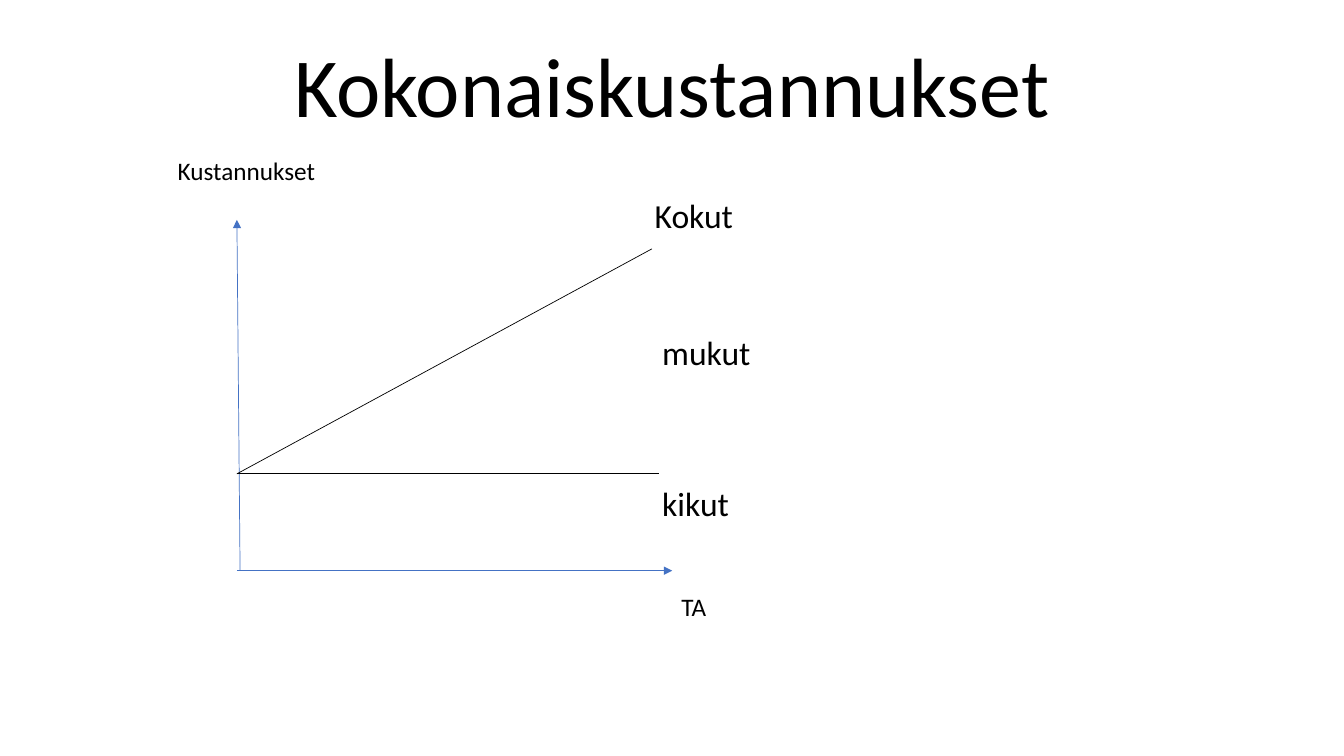
from pptx import Presentation
from pptx.dml.color import RGBColor
from pptx.enum.shapes import MSO_CONNECTOR
from pptx.enum.text import PP_ALIGN
from pptx.oxml.ns import qn
from pptx.util import Cm, Pt
from lxml.etree import SubElement

BLACK, BLUE = "000000", "4472C4"
ASCENT, LINE_HEIGHT = 0.95, 1.22
LEFT, WIDTH = 4.23, 25.4
AXIS_X, AXIS_Y, FIXED_COST_Y = 5.97, 14.38, 11.94

title = ("Kokonaiskustannukset", LEFT, 2.85, WIDTH, 60, PP_ALIGN.CENTER)
labels = [
    ("Kustannukset", 4.48, 4.51, 5, 18, PP_ALIGN.LEFT),
    ("Kokut", 16.5, 5.72, 4, 24, PP_ALIGN.LEFT),
    ("mukut", 16.69, 9.17, 4, 24, PP_ALIGN.LEFT),
    ("kikut", 16.69, 12.98, 4, 24, PP_ALIGN.LEFT),
    ("TA", 17.17, 15.5, 2, 18, PP_ALIGN.LEFT),
]
axes = [
    ((6.05, AXIS_Y), (AXIS_X, 5.54)),
    ((AXIS_X, AXIS_Y), (16.94, AXIS_Y)),
]
cost_lines = [
    ((AXIS_X, FIXED_COST_Y), (16.61, FIXED_COST_Y)),
    ((AXIS_X, FIXED_COST_Y), (16.43, 6.27)),
]

deck = Presentation()
deck.slide_width, deck.slide_height = Cm(33.87), Cm(19.05)
slide = deck.slides.add_slide(deck.slide_layouts[6])


def color(value):
    return RGBColor.from_string(value)


def add_label(text, left, baseline, width, size, align):
    em = size * 2.54 / 72
    label = slide.shapes.add_textbox(
        Cm(left), Cm(baseline - ASCENT * em), Cm(width), Cm(LINE_HEIGHT * em))
    frame = label.text_frame
    frame.word_wrap = True
    frame.margin_left = frame.margin_right = frame.margin_top = frame.margin_bottom = 0
    frame.text = text
    paragraph = frame.paragraphs[0]
    paragraph.alignment = align
    font = paragraph.runs[0].font
    font.name, font.size = "Calibri", Pt(size)
    font.color.rgb = color(BLACK)


def add_line(start, end, stroke, arrow=False):
    line = slide.shapes.add_connector(
        MSO_CONNECTOR.STRAIGHT, *(Cm(n) for n in start + end))
    line.line.color.rgb = color(stroke)
    line.line.width = Pt(0.5)
    if arrow:
        SubElement(line.line._get_or_add_ln(), qn("a:tailEnd"), type="triangle")
    SubElement(line._element.spPr, qn("a:effectLst"))


for label in [title] + labels:
    add_label(*label)
for start, end in axes:
    add_line(start, end, BLUE, arrow=True)
for start, end in cost_lines:
    add_line(start, end, BLACK)

deck.save("out.pptx")
